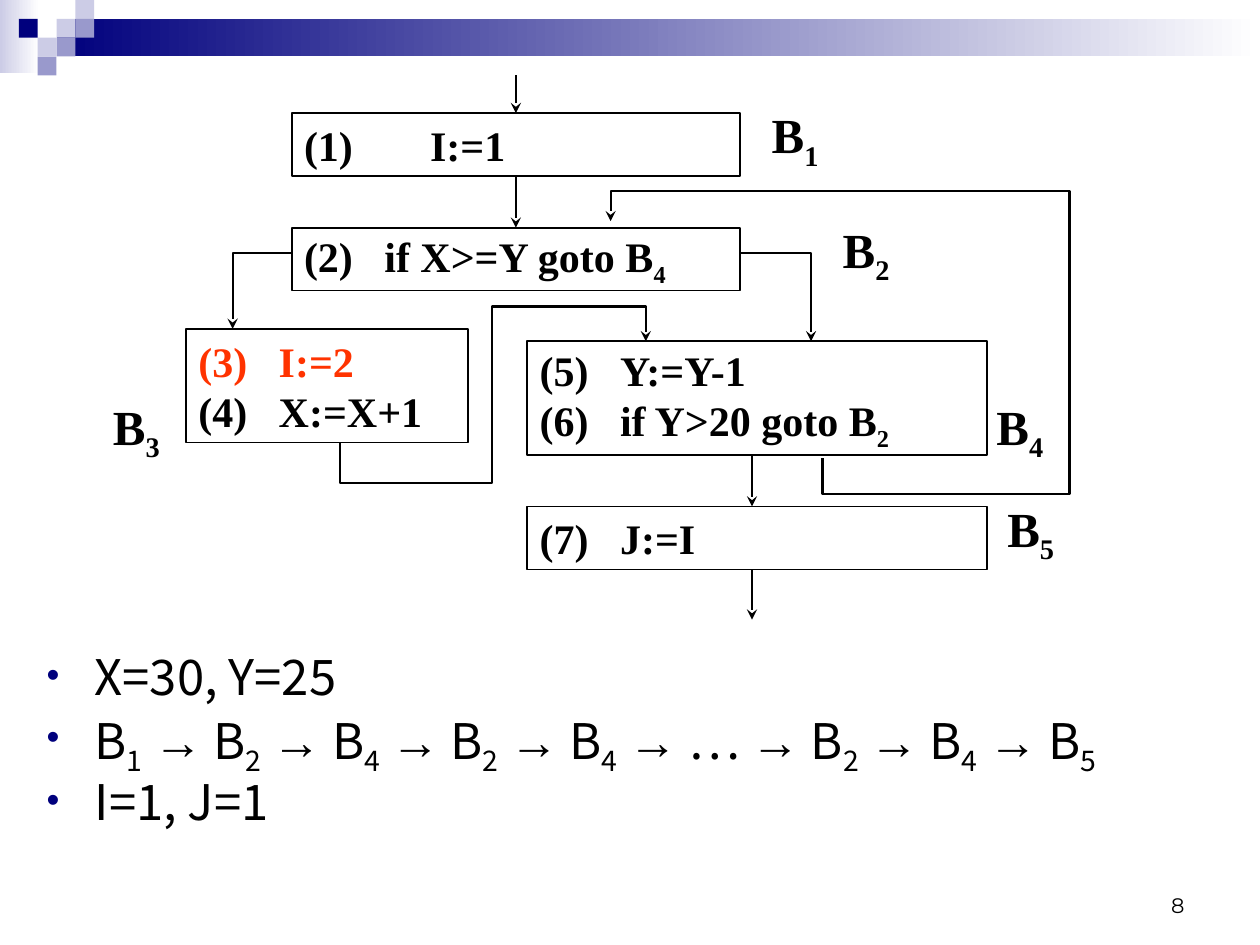
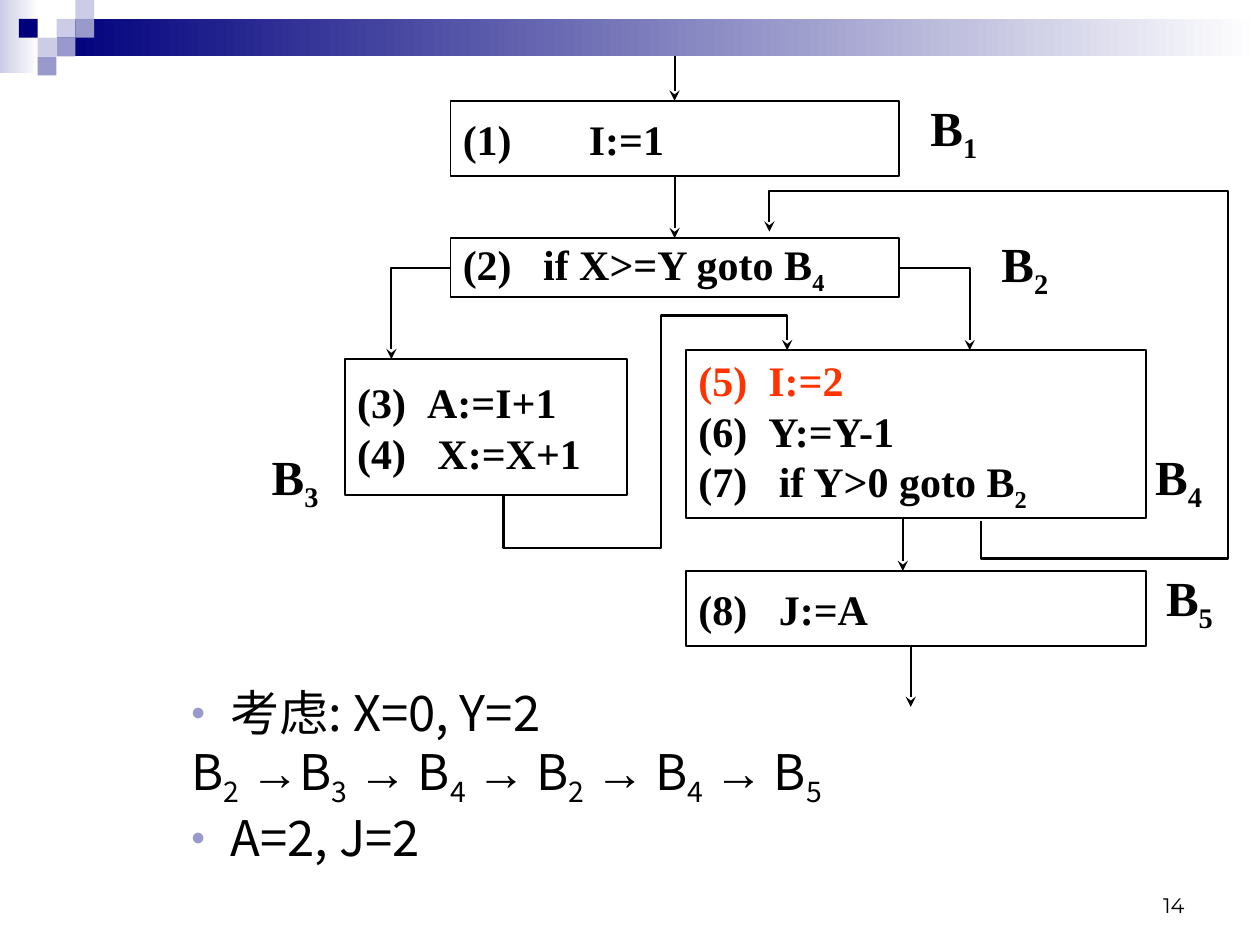
from itertools import groupby

from pptx import Presentation
from pptx.dml.color import RGBColor
from pptx.enum.shapes import MSO_CONNECTOR, MSO_SHAPE
from pptx.enum.text import MSO_ANCHOR, PP_ALIGN
from pptx.oxml.ns import qn
from pptx.util import Cm, Pt
from lxml import etree

RECT = MSO_SHAPE.RECTANGLE
STRAIGHT = MSO_CONNECTOR.STRAIGHT
TOP, MIDDLE, BOTTOM = MSO_ANCHOR.TOP, MSO_ANCHOR.MIDDLE, MSO_ANCHOR.BOTTOM
LEFT, CENTER, RIGHT = PP_ALIGN.LEFT, PP_ALIGN.CENTER, PP_ALIGN.RIGHT

COLORS = {"navy": "00007D", "mid": "9999CC", "light": "CCCCE6",
          "white": "FFFFFF", "ink": "000000", "red": "FF3300"}
CODE = {"name": "Times New Roman", "size": Pt(24), "bold": True}
LABEL = {**CODE, "size": Pt(28)}
BODY = {"name": "Noto Sans CJK SC", "size": Pt(28)}
NUMBER = {"name": "Montserrat", "size": Pt(12)}
ARROW_FONT = "Arial"

TILE = 0.38
TILES = [(3, 1, "light"), (4, 0, "light"), (4, 1, "mid"), (2, 2, "light"),
         (1, 1, "navy"), (3, 2, "mid"), (2, 3, "mid")]

BLOCK_X = [(3.78, 9.04), (3.78, 9.04), (1.65, 5.69), (8.53, 9.27), (8.53, 9.27)]
LABEL_X = [13.28, 14.71, 0, 17.81, 18.03]
LABEL_W = 1.3
WIDE, NARROW, FULL = 1.62, 1.41, 2.54

FLOWS = [
    {"number": "8",
     "origin": (2.1, 1.52),
     "rows": [(0.76, 1.27), (3.07, 1.27), (5.11, 2.29), (5.36, 2.29), (8.69, 1.27)],
     "end": 10.97, "tap": 0.51, "label_h": 1.52, "label_drop": [0, 0, 0.51, 0.25, 0],
     "feed": (4.75, 7.82, 10.92), "exit_x": 13.06,
     "code": [[(FULL, "(1)\tI:=1", "ink")],
              [(WIDE, "(2)\tif X>=Y goto B_4", "ink")],
              [(WIDE, "(3)\tI:=2", "red"), (WIDE, "(4)\tX:=X+1", "ink")],
              [(WIDE, "(5)\tY:=Y-1", "ink"), (WIDE, "(6)\tif Y>20 goto B_2", "ink")],
              [(WIDE, "(7)\tJ:=I", "ink")]],
     "box": (0.69, 13.13, 24.3, 4.01),
     "body": {"margin": 0.97, "hang": 0.97, "spacing": 0.8, "bullet": "navy", "pct": 75},
     "notes": [(True, 0, "X=30, Y=25"),
               (True, 7, "B_1 → B_2 → B_4 → B_2 → B_4 → … → B_2 → B_4 → B_5"),
               (True, 7, "I=1, J=1")]},
    {"number": "14",
     "origin": (5.3, 1.12),
     "rows": [(0.91, 1.52), (3.68, 1.19), (6.12, 2.74), (5.94, 3.38), (10.39, 1.52)],
     "end": 13.13, "tap": 0.6, "label_h": 1.83, "label_drop": [0, 0.3, 0.61, 0.15, 0],
     "feed": (4.85, 8.03, 10.57), "exit_x": 12.9,
     "code": [[(FULL, "(1)\tI:=1", "ink")],
              [(WIDE, "(2)\tif X>=Y goto B_4", "ink")],
              [(NARROW, "(3)\tA:=I+1", "ink"), (WIDE, "(4)\tX:=X+1", "ink")],
              [(NARROW, "(5)\tI:=2", "red"), (NARROW, "(6)\tY:=Y-1", "ink"),
               (WIDE, "(7)\tif Y>0 goto B_2", "ink")],
              [(WIDE, "(8)\tJ:=A", "ink")]],
     "box": (2.34, 13.77, 21.59, 4.01),
     "body": {"margin": 2.06, "hang": 0.79, "spacing": 0.9, "bullet": "mid", "pct": 80},
     "notes": [(True, 0, "考虑: X=0, Y=2"),
               (False, 0, "B_2 →B_3 → B_4 → B_2 → B_4 → B_5"),
               (True, 7, "A=2, J=2")]},
]


def rgb(key):
    """Return the named colour."""
    return RGBColor.from_string(COLORS[key])


def add_xml(parent, tag, **attrs):
    """Append a DrawingML element and return it."""
    return etree.SubElement(parent, qn(tag), attrs)


def add_run(p, text, fmt, color="ink", sub=False):
    """Add a formatted run, lowered when it is a subscript."""
    r = p.add_run()
    r.text = text
    for key, value in fmt.items():
        setattr(r.font, key, value)
    r.font.color.rgb = rgb(color)
    rpr = r.font._element
    add_xml(rpr, "a:ea", typeface=fmt["name"])
    if sub:
        rpr.set("baseline", "-25000")


def write(p, text, fmt, color="ink"):
    """Write text in which an underscore lowers the next character."""
    for i, piece in enumerate(text.split("_")):
        if i:
            add_run(p, piece[0], fmt, color, sub=True)
            piece = piece[1:]
        for is_arrow, chars in groupby(piece, lambda ch: ch == "→"):
            font = {**fmt, "name": ARROW_FONT} if is_arrow else fmt
            add_run(p, "".join(chars), font, color)


def paragraphs(tf, items):
    """Yield one paragraph of the frame with each item."""
    for i, item in enumerate(items):
        yield (tf.add_paragraph() if i else tf.paragraphs[0]), item


def add_rect(s, box, fill=None, fade=None, line=None):
    """Add a rectangle with a plain fill, a fade to white or an outline."""
    sp = s.shapes.add_shape(RECT, *map(Cm, box))
    sp.shadow.inherit = False
    if fade:
        sp.fill.gradient()
        sp.fill.gradient_angle = 0
        for stop, key in zip(sp.fill.gradient_stops, (fade, "white")):
            stop.color.rgb = rgb(key)
    elif fill:
        sp.fill.solid()
        sp.fill.fore_color.rgb = rgb(fill)
    else:
        sp.fill.background()
    if line:
        sp.line.color.rgb = rgb(line)
        sp.line.width = Pt(1)
    else:
        sp.line.fill.background()
    return sp


def add_text(s, box, anchor):
    """Add a wrapping text box and return its frame."""
    tf = s.shapes.add_textbox(*map(Cm, box)).text_frame
    tf.word_wrap = True
    tf.vertical_anchor = anchor
    return tf


def add_arrow(s, origin, points):
    """Draw an arrow through points given relative to the origin."""
    pts = [(Cm(origin[0] + x), Cm(origin[1] + y)) for x, y in points]
    if len(pts) == 2:
        sp = s.shapes.add_connector(STRAIGHT, *pts[0], *pts[1])
        add_xml(sp._element.spPr, "a:effectLst")
    else:
        builder = s.shapes.build_freeform(*pts[0])
        builder.add_line_segments(pts[1:], close=False)
        sp = builder.convert_to_shape()
        sp.shadow.inherit = False
        sp.fill.background()
    sp.line.color.rgb = rgb("ink")
    sp.line.width = Pt(1.25)
    add_xml(sp.line._get_or_add_ln(), "a:tailEnd", type="stealth")


def add_banner(s):
    """Draw the fading band and the tiles at the top."""
    add_rect(s, (0, 0, 0.79, 1.47), fade="light")
    add_rect(s, (3 * TILE, TILE, 25.4 - 3 * TILE, 2 * TILE), fade="navy")
    for col, row, color in TILES:
        add_rect(s, (col * TILE, row * TILE, TILE, TILE), fill=color)


def add_number(s, number):
    """Write the slide number at the lower right."""
    p = add_text(s, (18.21, 17.35, 5.92, 1.27), BOTTOM).paragraphs[0]
    p.alignment = RIGHT
    write(p, number, NUMBER)


def add_block(s, box, lines):
    """Draw one basic block with its numbered statements."""
    sp = add_rect(s, box, line="ink")
    tf = sp.text_frame
    tf.word_wrap = True
    tf.vertical_anchor = MIDDLE
    for p, (tab, text, color) in paragraphs(tf, lines):
        p.alignment = LEFT
        tabs = add_xml(p._p.get_or_add_pPr(), "a:tabLst")
        add_xml(tabs, "a:tab", pos=str(Cm(tab)), algn="l")
        write(p, text, CODE, color)


def add_label(s, box, text):
    """Write the name of a block."""
    tf = add_text(s, box, MIDDLE)
    tf.margin_left = tf.margin_right = 0
    tf.word_wrap = False
    p = tf.paragraphs[0]
    p.alignment = CENTER
    write(p, text, LABEL)


def add_flow(s, flow):
    """Draw the flow graph relative to its origin."""
    left, top = origin = flow["origin"]
    rows = flow["rows"]
    tops = [y for y, h in rows]
    ends = [y + h for y, h in rows]
    for i, ((x, w), (y, h)) in enumerate(zip(BLOCK_X, rows)):
        add_block(s, (left + x, top + y, w, h), flow["code"][i])
        label_y = ends[i] + flow["label_drop"][i] - flow["label_h"]
        add_label(s, (left + LABEL_X[i], top + label_y, LABEL_W, flow["label_h"]), f"B_{i + 1}")

    x, w = BLOCK_X[1]
    mid, tap = x + w / 2, tops[1] + flow["tap"]
    start, turn, stop = flow["feed"]
    low, high = tops[4] - 0.47, tops[3] - 0.7
    loop_low, loop_high = tops[4] - 0.25, ends[0] + 0.3
    for points in (
        [(mid, 0), (mid, tops[0])],
        [(mid, ends[0]), (mid, tops[1])],
        [(flow["exit_x"], ends[3]), (flow["exit_x"], tops[4])],
        [(13.06, ends[4]), (13.06, flow["end"])],
        [(x, tap), (2.59, tap), (2.59, tops[2])],
        [(x + w, tap), (14.25, tap), (14.25, tops[3])],
        [(start, ends[2]), (start, low), (turn, low), (turn, high), (stop, high), (stop, tops[3])],
        [(14.48, ends[3] + 0.07), (14.48, loop_low), (19.46, loop_low),
         (19.46, loop_high), (10.21, loop_high), (10.21, tops[1] - 0.13)],
    ):
        add_arrow(s, origin, points)


def add_notes(s, box, notes, body):
    """Write the example run below the graph."""
    tf = add_text(s, box, TOP)
    for p, (bulleted, before, text) in paragraphs(tf, notes):
        ppr = p._p.get_or_add_pPr()
        ppr.set("marL", str(Cm(body["margin"])))
        ppr.set("indent", str(-Cm(body["hang"])))
        if bulleted:
            add_xml(add_xml(ppr, "a:buClr"), "a:srgbClr", val=COLORS[body["bullet"]])
            add_xml(ppr, "a:buSzPct", val=str(body["pct"] * 1000))
            add_xml(ppr, "a:buFont", typeface=ARROW_FONT)
            add_xml(ppr, "a:buChar", char="•")
        p.line_spacing = body["spacing"]
        p.space_before = Pt(before)
        write(p, text, BODY)


def main():
    """Build both slides and save the file."""
    prs = Presentation()
    prs.slide_width, prs.slide_height = Cm(25.4), Cm(19.05)
    for flow in FLOWS:
        s = prs.slides.add_slide(prs.slide_layouts[6])
        add_banner(s)
        add_number(s, flow["number"])
        add_flow(s, flow)
        add_notes(s, flow["box"], flow["notes"], flow["body"])
    prs.save("out.pptx")


if __name__ == "__main__":
    main()
